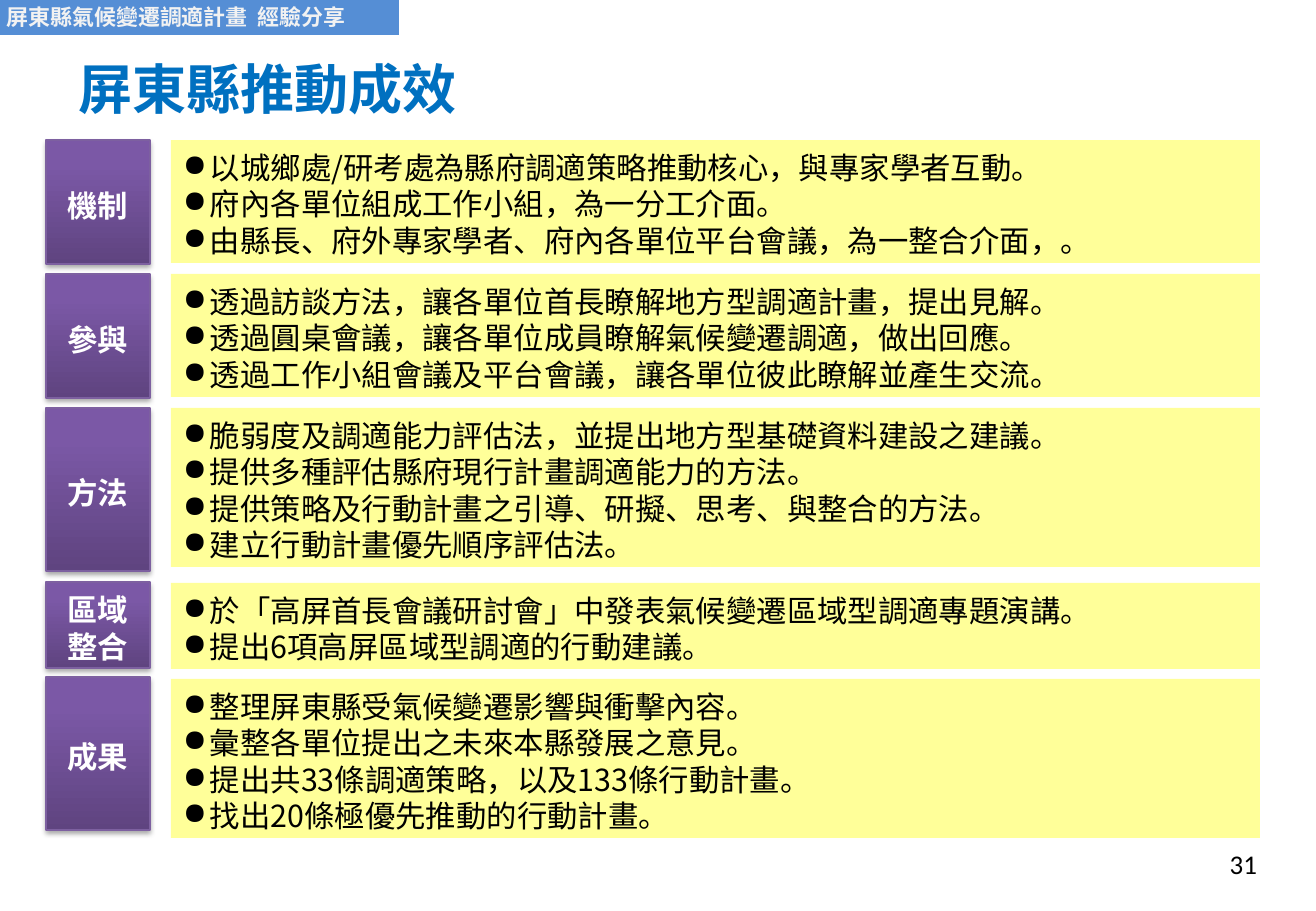
from pptx import Presentation
from pptx.dml.color import RGBColor
from pptx.enum.shapes import MSO_SHAPE as Shape
from pptx.enum.text import MSO_ANCHOR as Anchor, PP_ALIGN as Align
from pptx.oxml import parse_xml
from pptx.oxml.ns import nsdecls, qn
from pptx.util import Pt

PX = 7526  # EMU in one px
CJK = "Noto Sans CJK SC"
INDENT = 27

GRADIENT = f"""<a:gradFill {nsdecls('a')} rotWithShape="1"><a:gsLst>
<a:gs pos="0"><a:srgbClr val="5F4480"/></a:gs>
<a:gs pos="80000"><a:srgbClr val="7B58A6"/></a:gs>
<a:gs pos="100000"><a:srgbClr val="7C57A8"/></a:gs>
</a:gsLst><a:lin ang="16200000" scaled="0"/></a:gradFill>"""
SHADOW = f"""<a:outerShdw {nsdecls('a')} blurRad="40000" dist="23000" dir="5400000" rotWithShape="0">
<a:srgbClr val="000000"><a:alpha val="35000"/></a:srgbClr></a:outerShdw>"""
BULLET = f'<a:buChar {nsdecls("a")} char="●"/>'

# label, (top, height) of label, (top, height) of panel, bullet points
SECTIONS = [
    ("機制", (140, 124), (140, 123), [
        "以城鄉處/研考處為縣府調適策略推動核心，與專家學者互動。",
        "府內各單位組成工作小組，為一分工介面。",
        "由縣長、府外專家學者、府內各單位平台會議，為一整合介面，。"]),
    ("參與", (274, 124), (274, 123), [
        "透過訪談方法，讓各單位首長瞭解地方型調適計畫，提出見解。",
        "透過圓桌會議，讓各單位成員瞭解氣候變遷調適，做出回應。",
        "透過工作小組會議及平台會議，讓各單位彼此瞭解並產生交流。"]),
    ("方法", (408, 163), (408, 159), [
        "脆弱度及調適能力評估法，並提出地方型基礎資料建設之建議。",
        "提供多種評估縣府現行計畫調適能力的方法。",
        "提供策略及行動計畫之引導、研擬、思考、與整合的方法。",
        "建立行動計畫優先順序評估法。"]),
    ("區域整合", (582, 86), (583, 86), [
        "於「高屏首長會議研討會」中發表氣候變遷區域型調適專題演講。",
        "提出6項高屏區域型調適的行動建議。"]),
    ("成果", (677, 153), (679, 159), [
        "整理屏東縣受氣候變遷影響與衝擊內容。",
        "彙整各單位提出之未來本縣發展之意見。",
        "提出共33條調適策略，以及133條行動計畫。",
        "找出20條極優先推動的行動計畫。"]),
]


def color(value):
    return RGBColor.from_string(value)


def add_box(left, top, width, height, lines, size, ink, fill=None, bold=False,
            anchor=Anchor.TOP, align=Align.LEFT, font=CJK, bullets=False):
    """Add a rectangle with text, or a plain text box when there is no fill."""
    place = [length * PX for length in (left, top, width, height)]
    if fill:
        box = page.shapes.add_shape(Shape.RECTANGLE, *place)
        box.shadow.inherit = False
        box.fill.solid()
        box.fill.fore_color.rgb = color(fill)
        box.line.fill.background()
    else:
        box = page.shapes.add_textbox(*place)
    frame = box.text_frame
    frame.word_wrap = True
    frame.vertical_anchor = anchor
    frame.text = "\n".join(lines)
    shift = round(size / 6) if font == CJK else 0
    frame.margin_left = frame.margin_right = 12 * PX
    frame.margin_top, frame.margin_bottom = (6 + shift) * PX, (6 - shift) * PX
    for para in frame.paragraphs:
        para.alignment = align
        if font == CJK:
            para.line_spacing = Pt(size * 1.2)
        if bullets:
            props = para._p.get_or_add_pPr()
            props.set("marL", str(INDENT * PX))
            props.set("indent", str(-INDENT * PX))
            props.append(parse_xml(BULLET))
        for span in para.runs:
            span.font.size = Pt(size)
            span.font.bold = bold
            span.font.color.rgb = color(ink)
            span.font.name = font
            east_asian = span._r.get_or_add_rPr().makeelement(qn("a:ea"), {"typeface": font})
            span._r.get_or_add_rPr().append(east_asian)
    return box


deck = Presentation()
deck.slide_width, deck.slide_height = 1316 * PX, 911 * PX
page = deck.slides.add_slide(deck.slide_layouts[6])

add_box(-5, -4, 404, 39, ["屏東縣氣候變遷調適計畫  經驗分享"], 13, "F2F2F2", fill="558ED5", bold=True)
add_box(66, 36, 1185, 94, ["屏東縣推動成效"], 32, "0070C0", bold=True, anchor=Anchor.MIDDLE)

for name, (label_top, label_height), (panel_top, panel_height), points in SECTIONS:
    label = add_box(46, label_top, 104, label_height, [name], 18, "FFFFFF", fill="7B58A6",
                    bold=True, anchor=Anchor.MIDDLE, align=Align.CENTER)
    label.line.color.rgb = color("7D60A0")
    label.line.width = Pt(0.75)
    props = label._element.spPr
    props.replace(props.find(qn("a:solidFill")), parse_xml(GRADIENT))
    props.find(qn("a:effectLst")).append(parse_xml(SHADOW))
    add_box(171, panel_top, 1089, panel_height, points, 18, "000000", fill="FFFF99", bullets=True)

add_box(962, 839, 307, 49, ["31"], 16, "000000", anchor=Anchor.MIDDLE, align=Align.RIGHT, font="Calibri")

deck.save("out.pptx")
